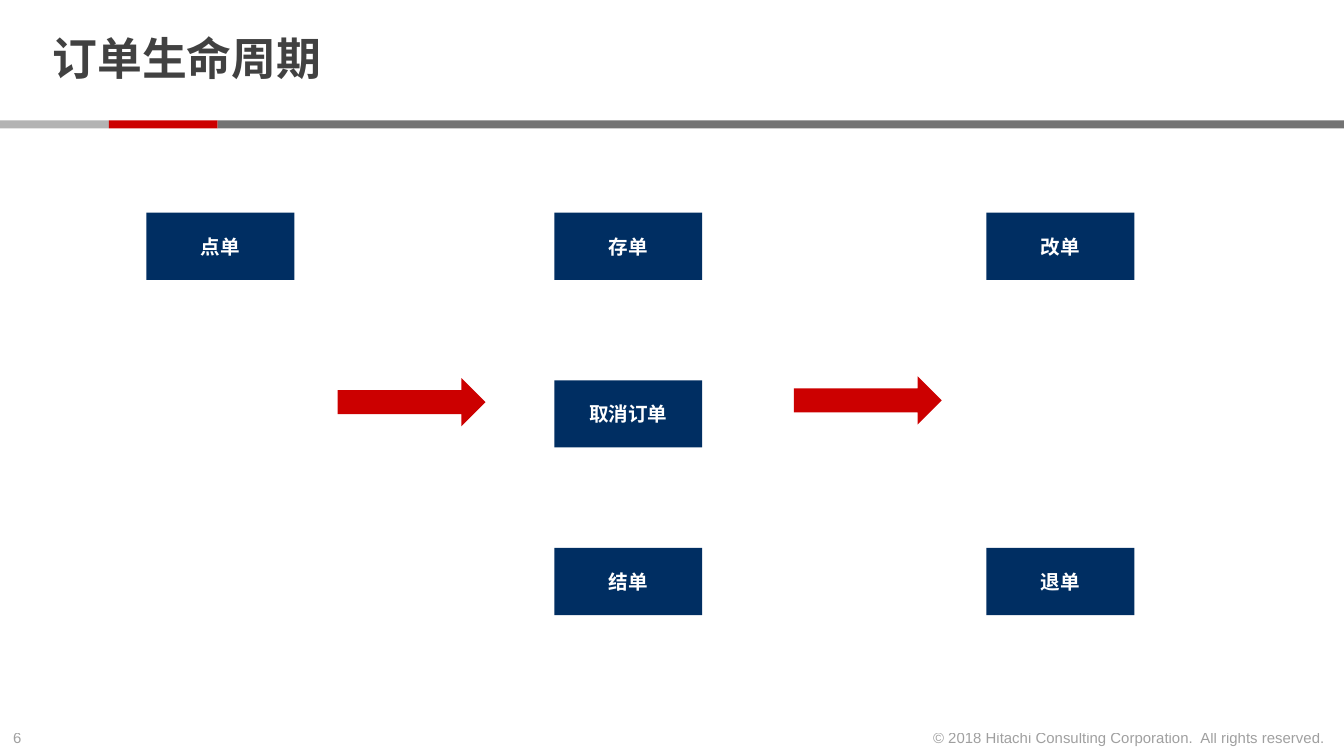
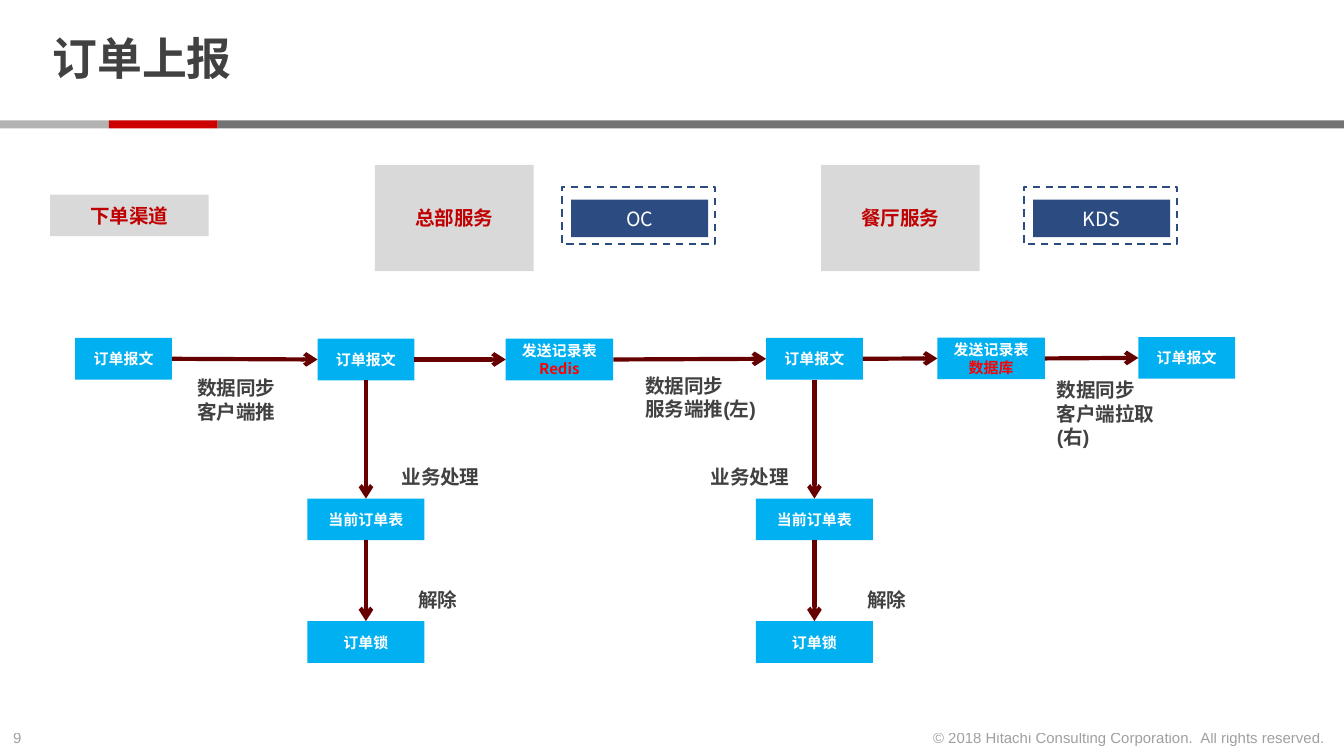
import pptx
import pptx.util
import pptx.dml.color
import pptx.enum.dml
import pptx.enum.shapes
import pptx.enum.text
import pptx.oxml
import pptx.oxml.ns
from lxml import etree

Pt = pptx.util.Pt
SHAPE = pptx.enum.shapes.MSO_SHAPE
ALIGN = pptx.enum.text.PP_ALIGN
ANCHOR = pptx.enum.text.MSO_ANCHOR
qn = pptx.oxml.ns.qn

CELL = pptx.util.Inches(0.1)  # the slide is a grid of 100 columns by 56.25 rows
COLS, ROWS = 100, 56.25
CJK = "Noto Sans CJK SC"
COLORS = {
    "text": "414141", "white": "FFFFFF", "band": "737373", "accent": "CC0000",
    "light": "B3B3B3", "navy": "002E62", "panel": "D9D9D9", "panel_text": "C00000",
    "system": "2C4B80", "node": "00B0F0", "store": "FF0000", "flow": "660000",
}
FORMATS = {
    "title": {"size": Pt(24), "bold": True, "name": "Arial"},
    "footer": {"size": Pt(8), "bold": False, "name": "Arial"},
    "label": {"size": Pt(10.5), "bold": True, "name": "Arial"},
    "box": {"size": Pt(10.5), "bold": True, "name": CJK},
    "system": {"size": Pt(10.5), "bold": False, "name": CJK},
    "node": {"size": Pt(8), "bold": True, "name": CJK},
}
TOP, LEFT, BOTTOM, RIGHT = range(4)  # connection sites of a rectangle


def rgb(color):
    return pptx.dml.color.RGBColor.from_string(COLORS[color])


def cells(*lengths):
    return [round(n * CELL) for n in lengths]


def write(tf, lines, fmt, colors, align=ALIGN.LEFT):
    """Write one paragraph per line, each in its own colour."""
    for i, (line, color) in enumerate(zip(lines, colors)):
        p = tf.add_paragraph() if i else tf.paragraphs[0]
        p.alignment = align
        r = p.add_run()
        r.text = line
        for key, value in FORMATS[fmt].items():
            setattr(r.font, key, value)
        r.font.color.rgb = rgb(color)
        etree.SubElement(r.font._element, qn("a:ea"), typeface=CJK)


def add_block(s, x, y, w, h, fill=None, kind=SHAPE.RECTANGLE):
    sp = s.shapes.add_shape(kind, *cells(x, y, w, h))
    sp.shadow.inherit = False
    sp.line.fill.background()
    if fill:
        sp.fill.solid()
        sp.fill.fore_color.rgb = rgb(fill)
    else:
        sp.fill.background()
    return sp


def add_box(s, cx, cy, w, h, fill, lines, fmt="box", colors=("white",)):
    """Add a filled box with centred text around a centre point."""
    sp = add_block(s, cx - w / 2, cy - h / 2, w, h, fill)
    sp.text_frame.vertical_anchor = ANCHOR.MIDDLE
    sp.text_frame.word_wrap = True
    write(sp.text_frame, lines, fmt, colors, ALIGN.CENTER)
    return sp


def add_label(s, x, y, w, h, *lines, fmt="label", align=ALIGN.LEFT, wrap=True):
    sp = s.shapes.add_textbox(*cells(x, y, w, h))
    sp.text_frame.word_wrap = wrap
    write(sp.text_frame, lines, fmt, ["text"] * len(lines), align)
    return sp


def add_footer(s, *args, **kwargs):
    sp = add_label(s, *args, fmt="footer", **kwargs)
    for color in sp._element.iter(qn("a:srgbClr")):
        etree.SubElement(color, qn("a:alpha"), val="50000")


def add_flow(s, source, target, start=RIGHT, end=LEFT):
    """Join two boxes with an arrow that stays attached to them."""
    line = s.shapes.add_connector(pptx.enum.shapes.MSO_CONNECTOR.STRAIGHT, 0, 0, 0, 0)
    line.begin_connect(source, start)
    line.end_connect(target, end)
    line.line.color.rgb = rgb("flow")
    line.line.width = Pt(2.25)
    etree.SubElement(line.line._get_or_add_ln(), qn("a:tailEnd"), type="arrow")
    etree.SubElement(line._element.spPr, qn("a:effectLst"))


def add_system(s, cx, name):
    add_box(s, cx + 0.1, 16.25, 10.2, 2.8, "system", [name], "system")
    frame = add_block(s, cx - 5.7, 13.9, 11.4, 4.25)
    frame.line.color.rgb = rgb("system")
    frame.line.width = Pt(1)
    frame.line.dash_style = pptx.enum.dml.MSO_LINE.DASH


def add_page(prs, title, number):
    """Add a slide with the title, the band and the footer."""
    s = prs.slides.add_slide(prs.slide_layouts[5])
    sp = s.shapes.title
    for key, value in zip(("left", "top", "width", "height"), cells(2.9, 0.6, 77.1, 8)):
        setattr(sp, key, value)
    tf = sp.text_frame
    frame = {"margin_left": CELL, "margin_right": CELL, "margin_top": 0,
             "margin_bottom": 0, "vertical_anchor": ANCHOR.MIDDLE, "word_wrap": True,
             "auto_size": pptx.enum.text.MSO_AUTO_SIZE.NONE}
    for key, value in frame.items():
        setattr(tf, key, value)
    write(tf, [title], "title", ["text"])
    tf.paragraphs[0].line_spacing = 0.85

    step = 8.1
    for i, (color, w) in enumerate((("light", step), ("accent", step), ("band", COLS - 2 * step))):
        add_block(s, i * step, 8.97, w, 0.6, color)
    add_footer(s, 0, 53.75, 3.4, 2.4, number)
    add_footer(s, 68, 53.75, 31.6, 2.4,
               "© 2018 Hitachi Consulting Corporation.  All rights reserved.",
               align=ALIGN.RIGHT, wrap=False)
    return s


def build_life_cycle(prs):
    s = add_page(prs, "订单生命周期", "6")
    stages = {16.4: ["点单"], 46.75: ["存单", "取消订单", "结单"], 78.9: ["改单", None, "退单"]}
    for cx, names in stages.items():
        for row, name in enumerate(names):
            if name:
                add_box(s, cx, 18.33 + 12.47 * row, 11, 5, "navy", [name])
    for x, y in ((25.13, 28.13), (59.07, 28)):
        add_block(s, x, y, 11, 3.6, "accent", SHAPE.RIGHT_ARROW)


def build_reporting(prs):
    s = add_page(prs, "订单上报", "9")
    for cx, cy, h, name in ((9.63, 16.03, 3.1, "下单渠道"), (33.8, 16.22, 7.9, "总部服务"),
                            (67, 16.22, 7.9, "餐厅服务")):
        add_box(s, cx, cy, 11.8, h, "panel", [name], colors=["panel_text"])
    add_system(s, 47.5, "OC")
    add_system(s, 81.87, "KDS")

    def add_node(cx, cy, w, *lines):
        return add_box(s, cx, cy, w, 3.1, "node", lines, "node", ("white", "store"))

    message, record = "订单报文", "发送记录表"
    chain = [add_node(cx, cy, w, *lines) for cx, cy, w, *lines in (
        (9.2, 26.7, 7.2, message), (27.23, 26.75, 7.2, message),
        (41.63, 26.75, 8, record, "Redis"), (60.6, 26.7, 7.2, message),
        (73.75, 26.67, 8, record, "数据库"), (88.3, 26.63, 7.2, message))]
    for source, target in zip(chain, chain[1:]):
        add_flow(s, source, target)

    for cx, start, note_x in ((27.23, chain[1], 28.9), (60.6, chain[3], 51.9)):
        orders = add_node(cx, 38.65, 8.7, "当前订单表")
        lock = add_node(cx, 47.77, 8.7, "订单锁")
        add_flow(s, start, orders, BOTTOM, TOP)
        add_flow(s, orders, lock, BOTTOM, TOP)
        add_label(s, note_x, 34.1, 10.1, 2.8, "业务处理")
        add_label(s, cx + 2.93, 43.25, 5.7, 2.8, "解除")

    for x, y, w, mode in ((13.7, 27.5, 10.1, "客户端推"), (47.03, 27.33, 12.1, "服务端推(左)"),
                          (77.65, 27.65, 11.3, "客户端拉取(右)")):
        add_label(s, x, y, w, 4.5, "数据同步", mode)


def main():
    prs = pptx.Presentation()
    prs.slide_width, prs.slide_height = cells(COLS, ROWS)
    build_life_cycle(prs)
    build_reporting(prs)
    prs.save("out.pptx")


if __name__ == "__main__":
    main()
